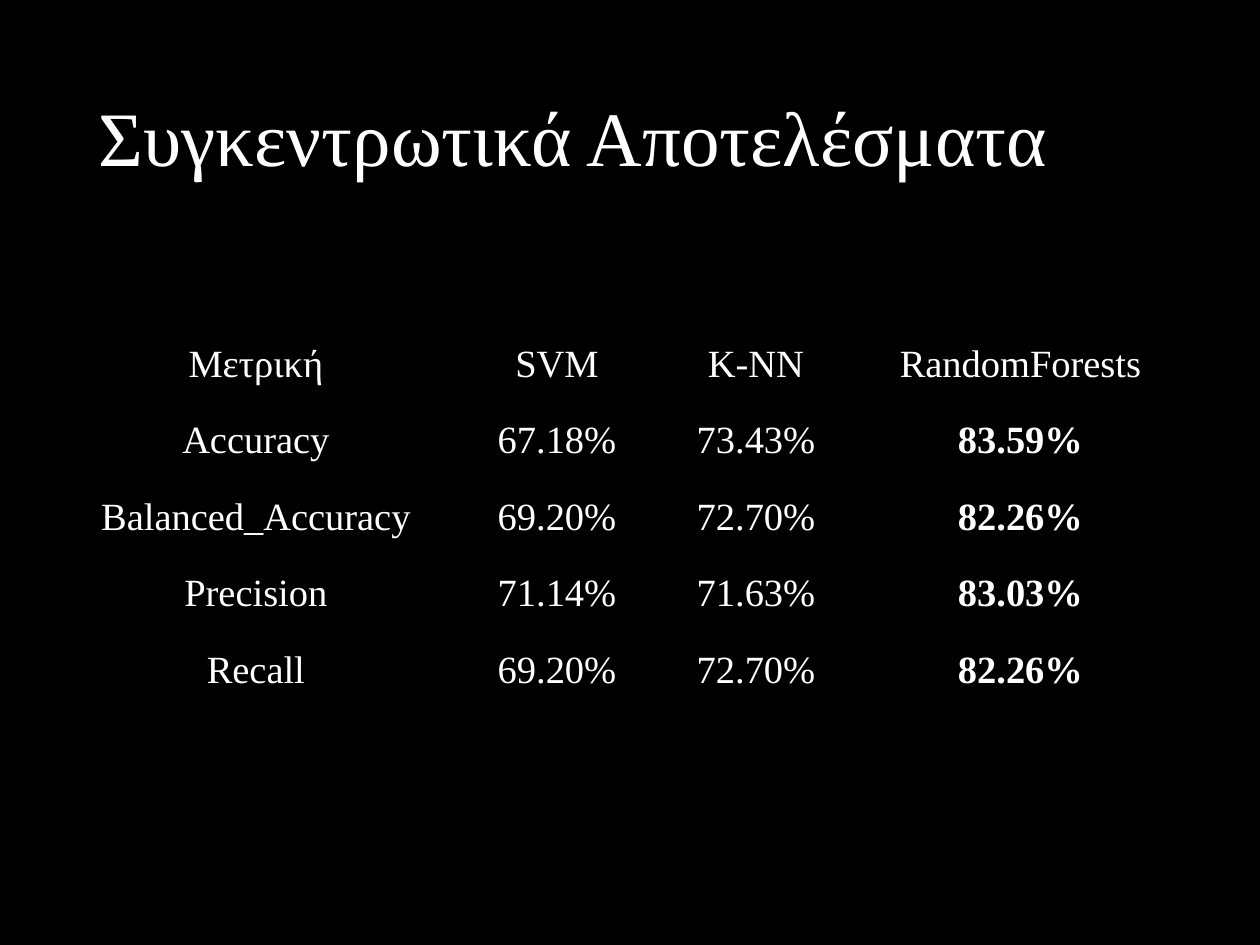
"""Build a slide with a table of classifier results."""
from lxml import etree
from pptx import Presentation
from pptx.dml.color import RGBColor
from pptx.enum import text
from pptx.oxml import ns
from pptx.util import Pt

COLORS = {"background": "000000", "border": "000000", "text": "FFFFFF"}
FONT = "Times New Roman"
COLUMN_WIDTHS = [230.4, 113.7, 113.7, 188.6]
ROW_HEIGHT = 43.8
RESULTS = [
    ["Μετρική", "SVM", "K-NN", "RandomForests"],
    ["Accuracy", "67.18%", "73.43%", "83.59%"],
    ["Balanced_Accuracy", "69.20%", "72.70%", "82.26%"],
    ["Precision", "71.14%", "71.63%", "83.03%"],
    ["Recall", "69.20%", "72.70%", "82.26%"],
]


def write(para, words, size, bold=False):
    para.text = words
    for span in para.runs:
        span.font.name = FONT
        span.font.size = Pt(size)
        span.font.bold = bold
        span.font.color.rgb = RGBColor.from_string(COLORS["text"])


def add_borders(cell):
    properties = cell._tc.get_or_add_tcPr()
    for side in ("lnL", "lnR", "lnT", "lnB"):
        line = etree.SubElement(properties, ns.qn(f"a:{side}"), w=str(Pt(1)))
        fill = etree.SubElement(line, ns.qn("a:solidFill"))
        etree.SubElement(fill, ns.qn("a:srgbClr"), val=COLORS["border"])


deck = Presentation()
deck.slide_width, deck.slide_height = Pt(720), Pt(540)
page = deck.slides.add_slide(deck.slide_layouts[6])
page.background.fill.solid()
page.background.fill.fore_color.rgb = RGBColor.from_string(COLORS["background"])

title = page.shapes.add_textbox(Pt(49.5), Pt(28.75), Pt(621), Pt(104.4))
title.text_frame.word_wrap = True
title.text_frame.vertical_anchor = text.MSO_ANCHOR.MIDDLE
heading = title.text_frame.paragraphs[0]
heading.line_spacing = 0.9
write(heading, "Συγκεντρωτικά Αποτελέσματα", 44)

table = page.shapes.add_table(
    len(RESULTS), len(COLUMN_WIDTHS), Pt(31), Pt(190.8),
    Pt(sum(COLUMN_WIDTHS)), Pt(ROW_HEIGHT * len(RESULTS)),
).table
table.first_row = False
table.horz_banding = False
for column, width in zip(table.columns, COLUMN_WIDTHS):
    column.width = Pt(width)

for row_index, values in enumerate(RESULTS):
    table.rows[row_index].height = Pt(ROW_HEIGHT)
    for column_index, value in enumerate(values):
        cell = table.cell(row_index, column_index)
        cell.margin_left = cell.margin_right = Pt(10.8)
        cell.margin_top, cell.margin_bottom = Pt(1.5), Pt(0)
        add_borders(cell)
        cell.fill.background()
        para = cell.text_frame.paragraphs[0]
        para.alignment = text.PP_ALIGN.CENTER
        para.line_spacing = 1.15
        para.space_after = Pt(10)
        best = row_index > 0 and column_index == len(values) - 1
        write(para, value, 22, best)

deck.save("out.pptx")
